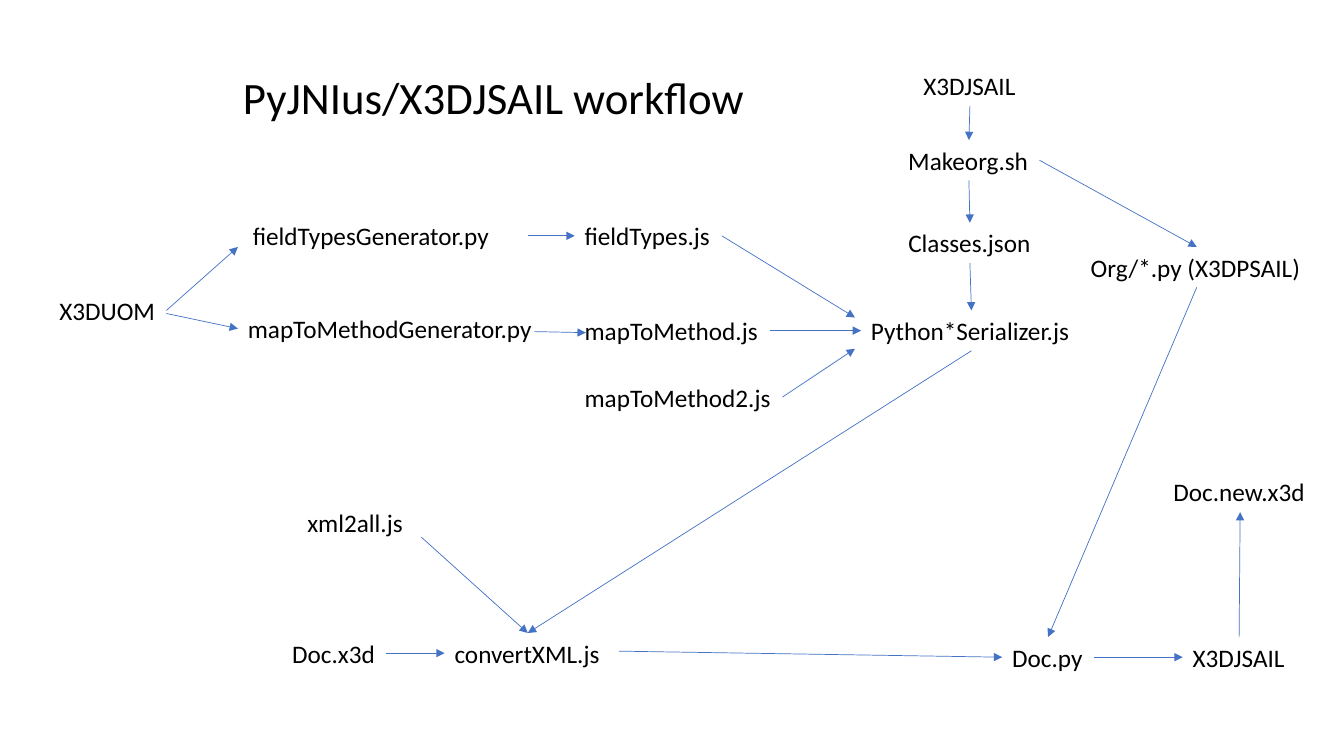
"""Build the PyJNIus/X3DJSAIL workflow slide."""
from dataclasses import dataclass
from enum import IntEnum
from typing import NamedTuple

from lxml.etree import SubElement
from pptx import Presentation
from pptx.dml.color import RGBColor
from pptx.enum.shapes import MSO_CONNECTOR
from pptx.enum.text import MSO_ANCHOR, MSO_AUTO_SIZE, PP_ALIGN
from pptx.oxml.ns import qn
from pptx.util import Inches, Pt


@dataclass(frozen=True)
class Theme:
    font: str = "Calibri"
    text: RGBColor = RGBColor(0, 0, 0)
    arrow: RGBColor = RGBColor(0x44, 0x72, 0xC4)
    title_size: Pt = Pt(32)
    node_size: Pt = Pt(18)
    arrow_width: Pt = Pt(0.5)


class Side(IntEnum):
    TOP = 0
    LEFT = 1
    BOTTOM = 2
    RIGHT = 3


class Node(NamedTuple):
    text: str
    left: float
    top: float
    width: float
    wrap: bool = False


class Site(NamedTuple):
    node: str
    side: Side


class Point(NamedTuple):
    x: float
    y: float


class Arrow(NamedTuple):
    start: Site | Point
    end: Site | Point


THEME = Theme()
NODE_HEIGHT = 0.4
TOP, LEFT, BOTTOM, RIGHT = Side

NODES = {
    "uom": Node("X3DUOM", 0.49, 2.88, 1.16),
    "types_gen": Node("fieldTypesGenerator.py", 2.41, 2.14, 2.83, True),
    "map_gen": Node("mapToMethodGenerator.py", 2.36, 3.06, 3.07, True),
    "types": Node("fieldTypes.js", 5.7, 2.14, 1.46, True),
    "map": Node("mapToMethod.js", 5.7, 3.08, 1.94),
    "map2": Node("mapToMethod2.js", 5.7, 3.74, 2.06),
    "serializer": Node("Python*Serializer.js", 8.54, 3.08, 2.19),
    "jsail_in": Node("X3DJSAIL", 9.06, 0.65, 1.12),
    "makeorg": Node("Makeorg.sh", 8.91, 1.39, 1.4),
    "classes": Node("Classes.json", 8.91, 2.21, 1.42),
    "org": Node("Org/*.py (X3DPSAIL)", 10.72, 2.45, 2.3),
    "xml2all": Node("xml2all.js", 2.95, 4.98, 1.16),
    "doc_x3d": Node("Doc.x3d", 2.8, 6.28, 1.03),
    "convert": Node("convertXML.js", 4.41, 6.28, 1.65),
    "doc_py": Node("Doc.py", 9.94, 6.32, 0.91),
    "jsail_out": Node("X3DJSAIL", 11.73, 6.32, 1.12),
    "doc_new": Node("Doc.new.x3d", 11.54, 4.68, 1.52),
}

ARROWS = [
    Arrow(Site("uom", RIGHT), Point(2.36, 2.45)),
    Arrow(Point(1.65, 3.11), Site("map_gen", LEFT)),
    Arrow(Site("types_gen", RIGHT), Site("types", LEFT)),
    Arrow(Point(5.3, 3.29), Point(5.81, 3.3)),
    Arrow(Site("types", RIGHT), Point(8.48, 3.15)),
    Arrow(Site("map", RIGHT), Site("serializer", LEFT)),
    Arrow(Site("map2", RIGHT), Point(8.48, 3.46)),
    Arrow(Site("jsail_in", BOTTOM), Site("makeorg", TOP)),
    Arrow(Site("makeorg", BOTTOM), Site("classes", TOP)),
    Arrow(Site("classes", BOTTOM), Site("serializer", TOP)),
    Arrow(Site("makeorg", RIGHT), Site("org", TOP)),
    Arrow(Site("org", BOTTOM), Site("doc_py", TOP)),
    Arrow(Site("serializer", BOTTOM), Site("convert", TOP)),
    Arrow(Point(4.18, 5.33), Site("convert", TOP)),
    Arrow(Site("doc_x3d", RIGHT), Site("convert", LEFT)),
    Arrow(Point(6.14, 6.46), Site("doc_py", LEFT)),
    Arrow(Site("doc_py", RIGHT), Site("jsail_out", LEFT)),
    Arrow(Site("jsail_out", TOP), Site("doc_new", BOTTOM)),
]


def write(sp, text: str, size: Pt, wrap: bool = False) -> None:
    """Put one left-aligned line of text in a shape."""
    tf = sp.text_frame
    tf.text = text
    tf.word_wrap = wrap
    tf.auto_size = MSO_AUTO_SIZE.SHAPE_TO_FIT_TEXT
    tf.vertical_anchor = MSO_ANCHOR.TOP
    p = tf.paragraphs[0]
    p.alignment = PP_ALIGN.LEFT
    p.font.name = THEME.font
    p.font.size = size
    p.font.color.rgb = THEME.text


def add_title(s, text: str) -> None:
    """Place and format the title."""
    sp = s.shapes.title
    sp.left, sp.top = Inches(2.31), Inches(0.64)
    sp.width, sp.height = Inches(5.23), Inches(0.64)
    write(sp, text, THEME.title_size)


def add_node(s, node: Node):
    """Add a workflow step as a text box."""
    sp = s.shapes.add_textbox(Inches(node.left), Inches(node.top),
                              Inches(node.width), Inches(NODE_HEIGHT))
    write(sp, node.text, THEME.node_size, node.wrap)
    return sp


def locate(end: Site | Point) -> Point:
    """Return the position of an arrow end."""
    if isinstance(end, Point):
        return end
    node = NODES[end.node]
    dx, dy = {TOP: (0.5, 0), LEFT: (0, 0.5),
              BOTTOM: (0.5, 1), RIGHT: (1, 0.5)}[end.side]
    return Point(node.left + dx * node.width, node.top + dy * NODE_HEIGHT)


def add_arrow(s, arrow: Arrow, boxes: dict) -> None:
    """Draw an arrow and glue its ends to the nodes it names."""
    start, end = locate(arrow.start), locate(arrow.end)
    line = s.shapes.add_connector(MSO_CONNECTOR.STRAIGHT,
                                  Inches(start.x), Inches(start.y),
                                  Inches(end.x), Inches(end.y))
    for site, connect in ((arrow.start, line.begin_connect),
                          (arrow.end, line.end_connect)):
        if isinstance(site, Site):
            connect(boxes[site.node], int(site.side))
    line.line.color.rgb = THEME.arrow
    line.line.width = THEME.arrow_width
    sp_pr = line._element.spPr
    SubElement(sp_pr.find(qn("a:ln")), qn("a:tailEnd"), type="triangle")
    SubElement(sp_pr, qn("a:effectLst"))


def main() -> None:
    """Build and save the slide."""
    prs = Presentation()
    prs.slide_width, prs.slide_height = Inches(13.33), Inches(7.5)
    s = prs.slides.add_slide(prs.slide_layouts[5])
    add_title(s, "PyJNIus/X3DJSAIL workflow")
    boxes = {key: add_node(s, node) for key, node in NODES.items()}
    for arrow in ARROWS:
        add_arrow(s, arrow, boxes)
    prs.save("out.pptx")


main()
